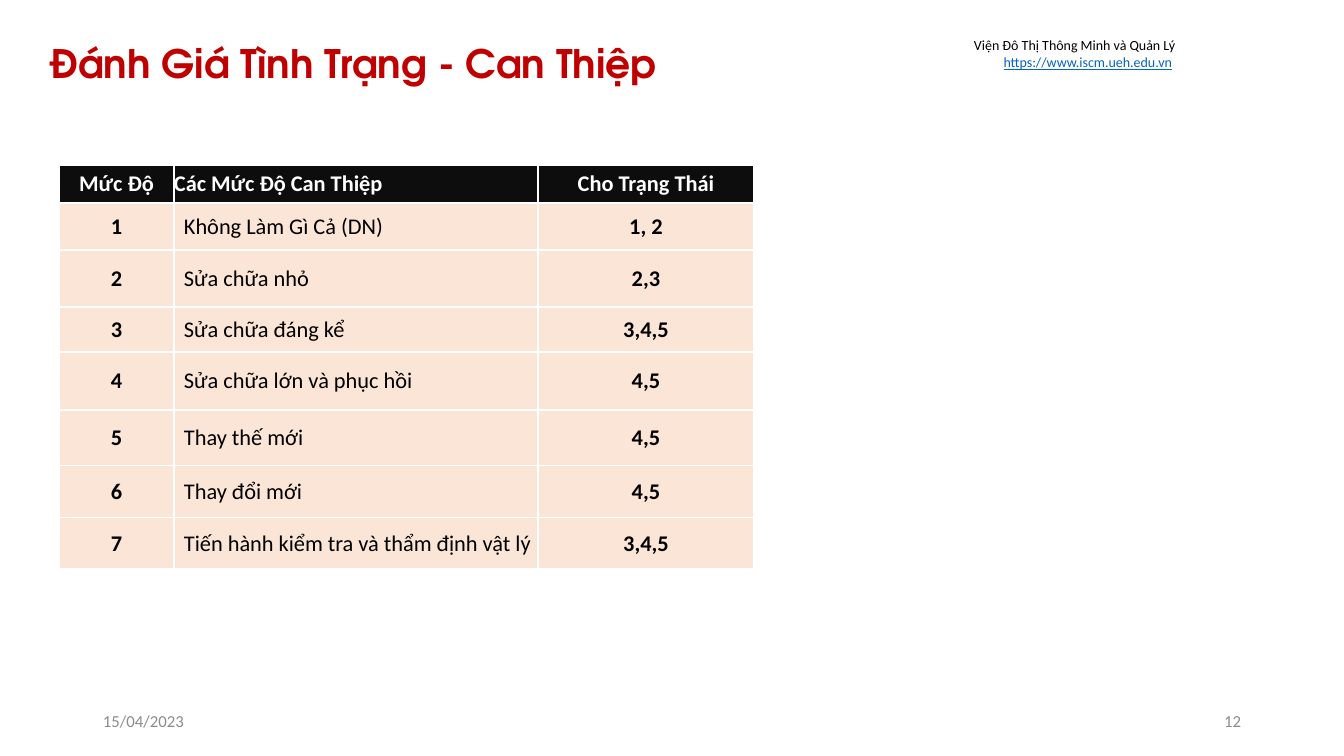
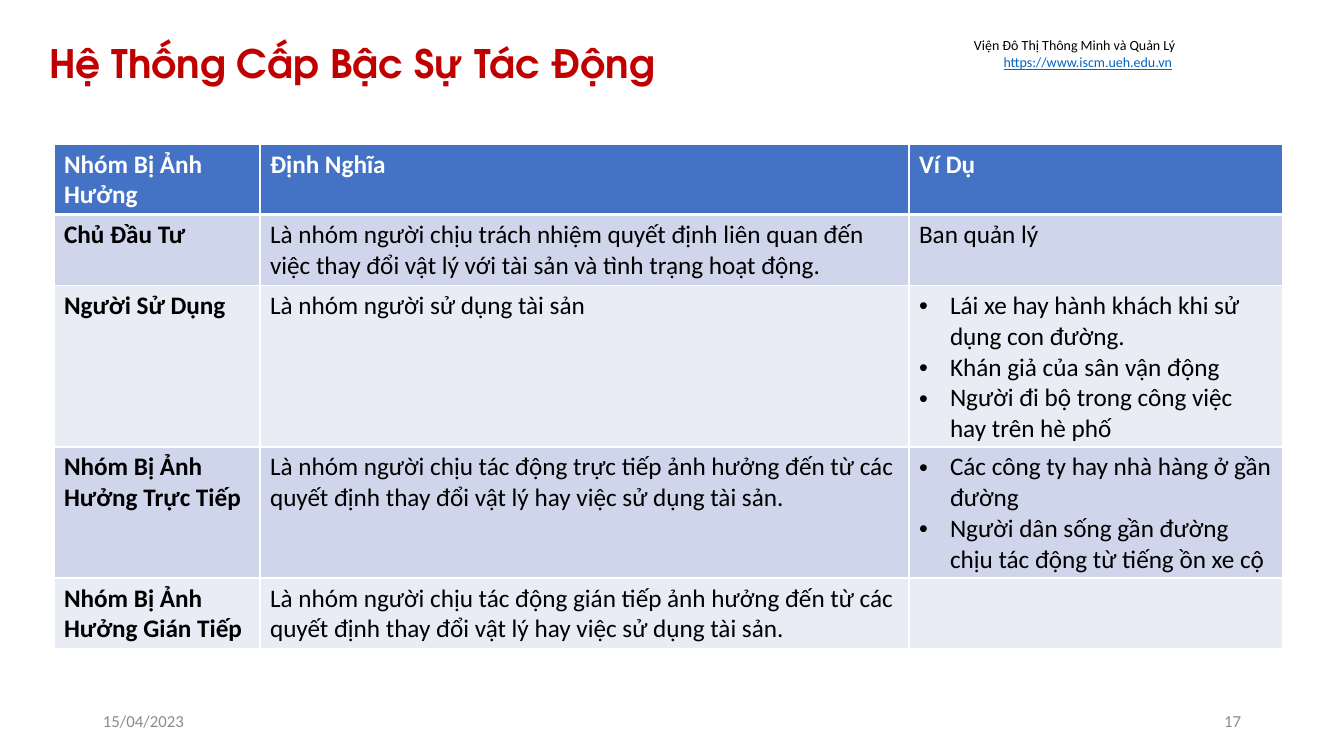
from lxml.etree import SubElement
from pptx import Presentation
from pptx.dml.color import RGBColor
from pptx.enum.text import MSO_ANCHOR, MSO_AUTO_SIZE, PP_ALIGN
from pptx.oxml.ns import qn
from pptx.util import Emu, Pt

WHITE, BLACK, RED, LINK, GREY = "FFFFFF", "000000", "C00000", "0563C1", "8C8C8C"


def px(length):
    return Emu(round(length * 914400 / 100.8))


def add_span(para, text, size, color, bold=False, name="Calibri"):
    span = para.add_run()
    span.text = text
    span.font.size = Pt(size)
    span.font.name = name
    span.font.bold = bold
    span.font.color.rgb = RGBColor.from_string(color)
    return span


levels = [
    ("Không Làm Gì Cả (DN)", "1, 2"),
    ("Sửa chữa nhỏ", "2,3"),
    ("Sửa chữa đáng kể", "3,4,5"),
    ("Sửa chữa lớn và phục hồi", "4,5"),
    ("Thay thế mới", "4,5"),
    ("Thay đổi mới", "4,5"),
    ("Tiến hành kiểm tra và thẩm định vật lý", "3,4,5"),
]

pages = [
    {
        "title": "Đánh Giá Tình Trạng - Can Thiệp",
        "number": "12",
        "origin": (59, 165),
        "widths": [115, 364, 216],
        "heights": [38, 47, 57, 45, 58, 56, 52, 51],
        "size": 16,
        "header_fill": "0D0D0D",
        "row_fills": ["FBE5D6"],
        "header_line": 1,
        "bold_columns": (0, 2),
        "centred_columns": (0, 2),
        "compact": True,
        "rows": [("Mức Độ", "Các Mức Độ Can Thiệp", "Cho Trạng Thái")]
        + [(str(rank), *level) for rank, level in enumerate(levels, 1)],
    },
    {
        "title": "Hệ Thống Cấp Bậc Sự Tác Động",
        "number": "17",
        "origin": (54, 144),
        "widths": [206, 649, 374],
        "heights": [70, 71, 161, 131, 71],
        "size": 18,
        "header_fill": "4472C4",
        "row_fills": ["CFD5EA", "E9EBF5"],
        "header_line": 3,
        "bold_columns": (0,),
        "centred_columns": (),
        "compact": False,
        "rows": [
            ("Nhóm Bị Ảnh Hưởng", "Định Nghĩa", "Ví Dụ"),
            (
                "Chủ Đầu Tư",
                "Là nhóm người chịu trách nhiệm quyết định liên quan đến việc thay đổi "
                "vật lý với tài sản và tình trạng hoạt động.",
                "Ban quản lý",
            ),
            (
                "Người Sử Dụng",
                "Là nhóm người sử dụng tài sản",
                [
                    "Lái xe hay hành khách khi sử dụng con đường.",
                    "Khán giả của sân vận động",
                    "Người đi bộ trong công việc hay trên hè phố",
                ],
            ),
            (
                "Nhóm Bị Ảnh Hưởng Trực Tiếp",
                "Là nhóm người chịu tác động trực tiếp ảnh hưởng đến từ các quyết định "
                "thay đổi vật lý hay việc sử dụng tài sản.",
                [
                    "Các công ty hay nhà hàng ở gần đường",
                    "Người dân sống gần đường chịu tác động từ tiếng ồn xe cộ",
                ],
            ),
            (
                "Nhóm Bị Ảnh Hưởng Gián Tiếp",
                "Là nhóm người chịu tác động gián tiếp ảnh hưởng đến từ các quyết định "
                "thay đổi vật lý hay việc sử dụng tài sản.",
                [],
            ),
        ],
    },
]

deck = Presentation()
deck.slide_width, deck.slide_height = px(1344), px(756)

for content in pages:
    page = deck.slides.add_slide(deck.slide_layouts[5])

    title = page.shapes.title
    title.left, title.top, title.width, title.height = px(39), px(32), px(1266), px(65)
    frame = title.text_frame
    frame.auto_size = MSO_AUTO_SIZE.NONE
    frame.vertical_anchor = MSO_ANCHOR.BOTTOM
    frame.margin_left = frame.margin_right = px(10)
    frame.margin_top = frame.margin_bottom = px(10)
    para = frame.paragraphs[0]
    para.alignment = PP_ALIGN.LEFT
    para.line_spacing = 0.9
    add_span(para, content["title"], 28, RED, True, "TeX Gyre Adventor")

    box = page.shapes.add_textbox(px(951), px(32), px(234), px(44))
    box.text_frame.word_wrap = True
    box.text_frame.auto_size = MSO_AUTO_SIZE.SHAPE_TO_FIT_TEXT
    para = box.text_frame.paragraphs[0]
    para.alignment = PP_ALIGN.RIGHT
    add_span(para, "Viện Đô Thị Thông Minh và Quản Lý", 10, BLACK)
    para.add_line_break()
    add_span(para, "https://www.iscm.ueh.edu.vn", 10, LINK).font.underline = True
    add_span(para, " ", 10, BLACK)

    footers = [
        (93, "15/04/2023", PP_ALIGN.LEFT),
        (949, content["number"], PP_ALIGN.RIGHT),
    ]
    for left, text, alignment in footers:
        box = page.shapes.add_textbox(px(left), px(701), px(302), px(40))
        box.text_frame.word_wrap = True
        box.text_frame.vertical_anchor = MSO_ANCHOR.MIDDLE
        para = box.text_frame.paragraphs[0]
        para.alignment = alignment
        add_span(para, text, 12, GREY)

    rows, widths, heights = content["rows"], content["widths"], content["heights"]
    left, top = content["origin"]
    table = page.shapes.add_table(
        len(rows), len(widths), px(left), px(top), px(sum(widths)), px(sum(heights))
    ).table
    table.horz_banding = False
    for column, width in zip(table.columns, widths):
        column.width = px(width)

    for row_index, row in enumerate(rows):
        table.rows[row_index].height = px(heights[row_index])
        is_header = row_index == 0
        fills = content["row_fills"]
        fill = content["header_fill"] if is_header else fills[(row_index - 1) % len(fills)]
        top_line = content["header_line"] if row_index == 1 else 1
        bottom_line = content["header_line"] if is_header else 1

        for column_index, entry in enumerate(row):
            cell = table.cell(row_index, column_index)
            if content["compact"]:
                indented = column_index == 1 and not is_header
                cell.margin_left = px(10 if indented else 0)
                cell.margin_right = cell.margin_top = cell.margin_bottom = 0
                cell.vertical_anchor = MSO_ANCHOR.MIDDLE

            properties = cell._tc.get_or_add_tcPr()
            borders = {"a:lnL": 1, "a:lnR": 1, "a:lnT": top_line, "a:lnB": bottom_line}
            for tag, weight in borders.items():
                line = SubElement(properties, qn(tag), w=str(Pt(weight)))
                SubElement(SubElement(line, qn("a:solidFill")), qn("a:srgbClr"), val=WHITE)
            cell.fill.solid()
            cell.fill.fore_color.rgb = RGBColor.from_string(fill)

            bulleted = isinstance(entry, list)
            frame = cell.text_frame
            for line_index, text in enumerate(entry if bulleted else [entry]):
                para = frame.add_paragraph() if line_index else frame.paragraphs[0]
                if bulleted:
                    settings = para._p.get_or_add_pPr()
                    settings.set("marL", str(px(31)))
                    settings.set("indent", str(px(-31)))
                    SubElement(settings, qn("a:buFont"), typeface="Arial")
                    SubElement(settings, qn("a:buChar"), char="•")
                if column_index in content["centred_columns"]:
                    para.alignment = PP_ALIGN.CENTER
                bold = is_header or column_index in content["bold_columns"]
                add_span(para, text, content["size"], WHITE if is_header else BLACK, bold)

deck.save("out.pptx")
